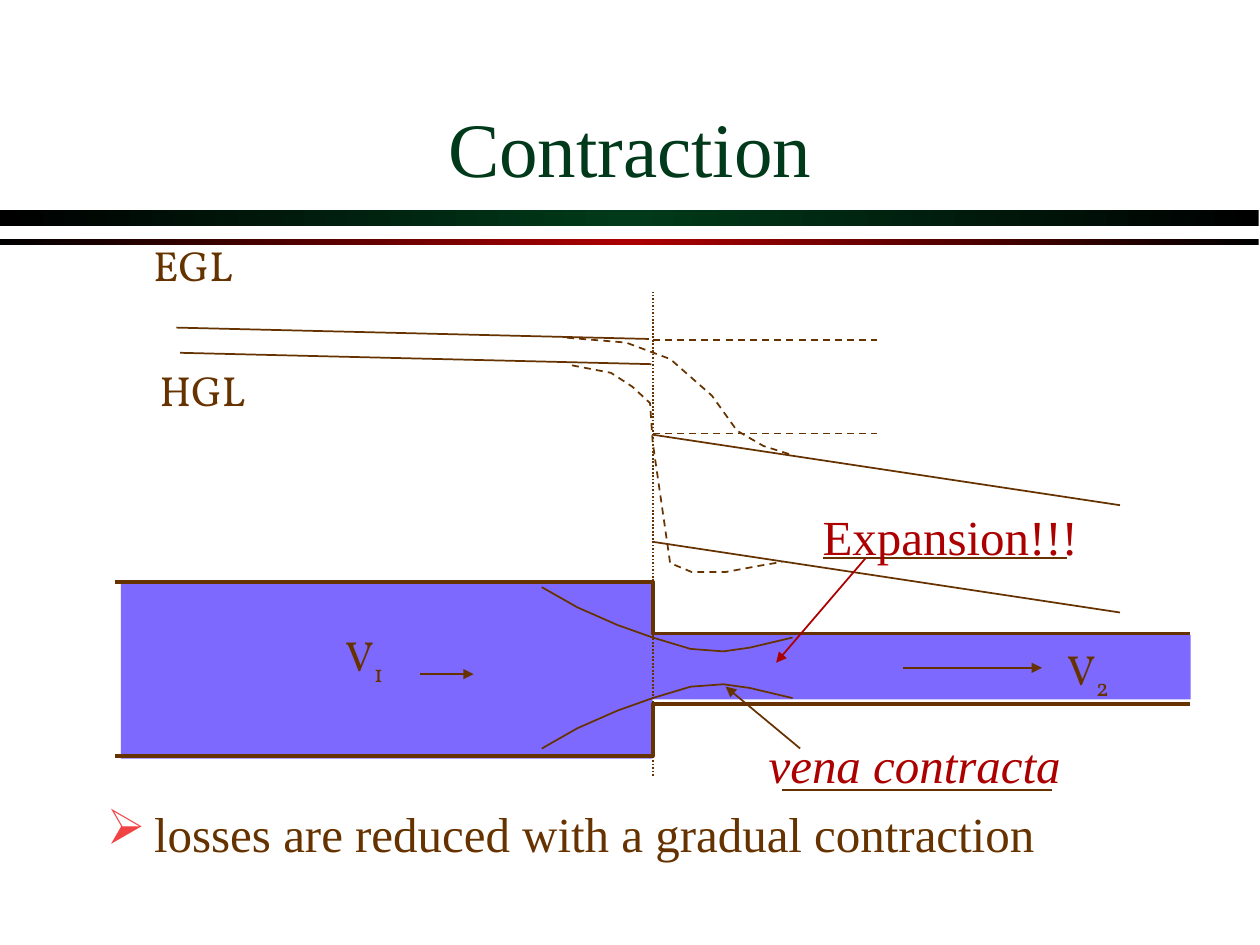
"""Build a slide on energy and hydraulic grade lines through a pipe contraction."""
from dataclasses import dataclass

from lxml.etree import SubElement
from pptx import Presentation
from pptx.dml.color import RGBColor
from pptx.enum.dml import MSO_LINE_DASH_STYLE as Dash
from pptx.enum.shapes import MSO_CONNECTOR as Connector, MSO_SHAPE as Shape
from pptx.enum.text import MSO_ANCHOR as Anchor, MSO_AUTO_SIZE as AutoSize, PP_ALIGN as Align
from pptx.oxml.ns import qn
from pptx.util import Pt


@dataclass(frozen=True)
class Theme:
    serif: str = "Times New Roman"
    label: str = "Vollkorn"
    black: str = "000000"
    green: str = "003A1A"
    red: str = "AC0000"
    brown: str = "663300"
    water: str = "7E69FF"
    bullet: str = "F14343"
    title_size: int = 44
    body_size: int = 28
    label_size: int = 24
    thin: float = 1
    wall: float = 2.25


THEME = Theme()
TITLE = "Contraction"
STATEMENT = "losses are reduced with a gradual contraction"
THROAT = 373
PIPE_AXIS = 382.25
JET_AXIS = 381.6

BARS = [(120.2, 8.9, THEME.green), (136.8, 3, THEME.red)]
WATER = [(69.1, 333.4, 303.9, 100.1), (371.5, 362.9, 308.9, 36.7)]
WALL = [(680, 362), (THROAT, 362), (THROAT, 332.5), (66, 332.5)]
JET = [(309.6, 335.5), (329.8, 347), (352.8, 357.1), (THROAT, 364.3),
       (394.6, 370.8), (413.3, 372.2), (428.4, 370.1), (452.9, 364.3)]
EGL_DROP = [(324, 193), (357.8, 195.8), (383, 205.2), (406.8, 226.1),
            (421.2, 246.2), (436.3, 254.9), (452.2, 259.9)]
HGL_DROP = [(326.9, 208.8), (349.2, 213.1), (361.4, 221), (371.5, 230.4),
            (THROAT, 252.7), (383, 321.8), (395.3, 326.9), (414.7, 326.9),
            (434.2, 323.3), (447.1, 321.1)]

SECTION_LINES = [(THROAT, 323.3, THROAT, 444.2), (THROAT, 423.4, THROAT, 167)]
LEVEL_LINES = [(THROAT, y, 501, y) for y in (194.4, 247.7)]
GRADE_LINES = [(100.8, 187.2, 370.8, 193.7), (103, 201.6, 372.2, 208.1),
               (THROAT, 248.4, 640, 288.7), (THROAT, 309.6, 640, 350)]
UNDERLINES = [(447.1, 451.4, 601.2, 451.4), (470.2, 319, 609.8, 319)]
ARROWS = [((239.8, 385.2, 270.7, 385.2), THEME.brown),
          ((516.2, 381.6, 595.4, 381.6), THEME.brown),
          ((457.2, 427.7, 414.7, 392.4), THEME.brown),
          ((494.6, 319, 443.5, 378.7), THEME.red)]

LABELS = [("EGL", "", (80.6, 133.2, 61.9, 36)),
          ("HGL", "", (84.2, 204.5, 67, 36)),
          ("V", "1", (190.1, 356.4, 39.6, 36)),
          ("V", "2", (602.6, 364.3, 39.6, 36))]
CALLOUTS = [("vena contracta", True, Align.CENTER, Anchor.MIDDLE, (432, 416.2, 181.4, 41)),
            ("Expansion!!!", False, Align.LEFT, Anchor.TOP, (463, 285.8, 160.6, 41))]


def color(value):
    return RGBColor.from_string(value)


def points(values):
    return [Pt(value) for value in values]


def add_block(slide, place, fill):
    block = slide.shapes.add_shape(Shape.RECTANGLE, *points(place))
    block.shadow.inherit = False
    block.line.fill.background()
    block.fill.solid()
    block.fill.fore_color.rgb = color(fill)
    return block


def add_bar(slide, top, height, middle):
    bar = add_block(slide, (0, top, 719.3, height), middle)
    bar.fill.gradient()
    bar.fill.gradient_angle = 0
    stops = next(bar.element.iter(qn("a:gsLst")))
    for stop in list(stops):
        stops.remove(stop)
    for position, value in ((0, THEME.black), (50000, middle), (100000, THEME.black)):
        stop = SubElement(stops, qn("a:gs"), pos=str(position))
        SubElement(stop, qn("a:srgbClr"), val=value)


def style_line(line, width=THEME.thin, ink=THEME.brown, dash=None):
    line.width = Pt(width)
    line.color.rgb = color(ink)
    if dash is not None:
        line.dash_style = dash


def add_line(slide, ends, ink=THEME.brown, dash=None, arrow=False):
    link = slide.shapes.add_connector(Connector.STRAIGHT, *points(ends))
    style_line(link.line, ink=ink, dash=dash)
    if arrow:
        SubElement(link.line._get_or_add_ln(), qn("a:tailEnd"), type="triangle")
    SubElement(link.element.spPr, qn("a:effectLst"))


def add_curve(slide, vertices, width=THEME.thin, dash=None):
    start, *rest = [points(vertex) for vertex in vertices]
    builder = slide.shapes.build_freeform(*start)
    builder.add_line_segments(rest, close=False)
    curve = builder.convert_to_shape()
    curve.shadow.inherit = False
    curve.fill.background()
    style_line(curve.line, width, dash=dash)


def mirrored(vertices, axis):
    return [(x, 2 * axis - y) for x, y in vertices]


def add_span(para, text, face, size, ink, italic=False):
    span = para.add_run()
    span.text = text
    span.font.name = face
    span.font.size = Pt(size)
    span.font.color.rgb = color(ink)
    span.font.italic = italic
    return span


def add_box(slide, place, wrap=False):
    box = slide.shapes.add_textbox(*points(place))
    box.text_frame.word_wrap = wrap
    box.text_frame.auto_size = AutoSize.NONE if wrap else AutoSize.SHAPE_TO_FIT_TEXT
    return box.text_frame


def add_title(slide):
    title = slide.shapes.title
    title.left, title.top, title.width, title.height = points((54, 23.8, 612, 90))
    title.text_frame.vertical_anchor = Anchor.BOTTOM
    para = title.text_frame.paragraphs[0]
    para.alignment = Align.CENTER
    span = add_span(para, TITLE, THEME.serif, THEME.title_size, THEME.green)
    effects = SubElement(span._r.get_or_add_rPr(), qn("a:effectLst"))
    shadow = SubElement(effects, qn("a:outerShdw"), dist="25400", dir="2700000")
    SubElement(shadow, qn("a:srgbClr"), val=THEME.black)
    properties = span._r.get_or_add_rPr()
    properties.insert(1, effects)


def add_statement(slide):
    para = add_box(slide, (54, 455.8, 612, 41), wrap=True).paragraphs[0]
    layout = para._p.get_or_add_pPr()
    layout.set("marL", str(Pt(27)))
    layout.set("indent", str(-Pt(27)))
    tint = SubElement(layout, qn("a:buClr"))
    SubElement(tint, qn("a:srgbClr"), val=THEME.bullet)
    SubElement(layout, qn("a:buChar"), char="➢")
    add_span(para, STATEMENT, THEME.serif, THEME.body_size, THEME.brown)


def add_labels(slide):
    for text, index, place in LABELS:
        para = add_box(slide, place).paragraphs[0]
        add_span(para, text, THEME.label, THEME.label_size, THEME.brown)
        if index:
            span = add_span(para, index, THEME.label, THEME.label_size, THEME.brown)
            span._r.get_or_add_rPr().set("baseline", "-25000")
    for text, italic, align, anchor, place in CALLOUTS:
        frame = add_box(slide, place)
        frame.vertical_anchor = anchor
        frame.paragraphs[0].alignment = align
        add_span(frame.paragraphs[0], text, THEME.serif, THEME.body_size, THEME.red, italic)


def main():
    deck = Presentation()
    deck.slide_width, deck.slide_height = points((720, 540))
    slide = deck.slides.add_slide(deck.slide_layouts[5])
    add_title(slide)
    for bar in BARS:
        add_bar(slide, *bar)
    for place in WATER:
        add_block(slide, place, THEME.water)
    for vertices, axis, width in ((WALL, PIPE_AXIS, THEME.wall), (JET, JET_AXIS, THEME.thin)):
        add_curve(slide, vertices, width)
        add_curve(slide, mirrored(vertices, axis), width)
    for vertices in (EGL_DROP, HGL_DROP):
        add_curve(slide, vertices, dash=Dash.DASH)
    for group, dash in ((SECTION_LINES, Dash.ROUND_DOT), (LEVEL_LINES, Dash.DASH),
                        (GRADE_LINES + UNDERLINES, None)):
        for ends in group:
            add_line(slide, ends, dash=dash)
    for ends, ink in ARROWS:
        add_line(slide, ends, ink, arrow=True)
    add_labels(slide)
    add_statement(slide)
    deck.save("out.pptx")


if __name__ == "__main__":
    main()
